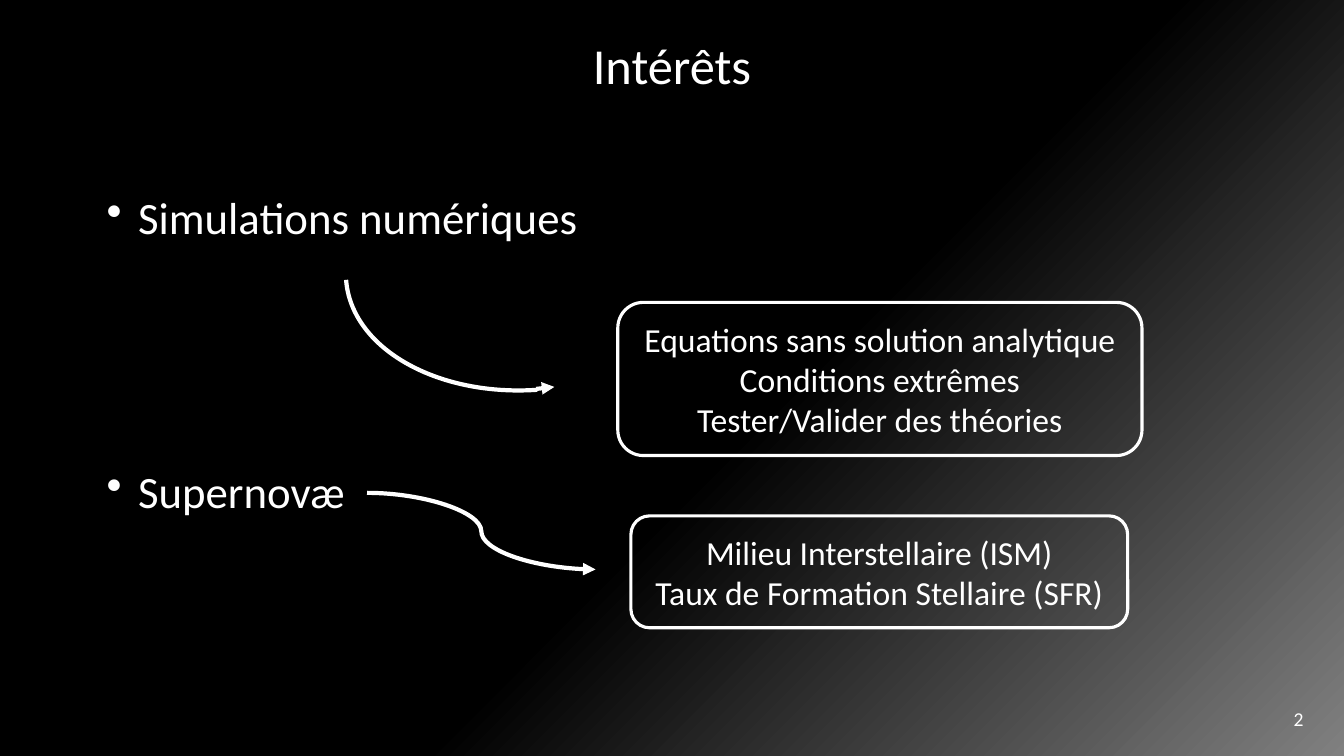
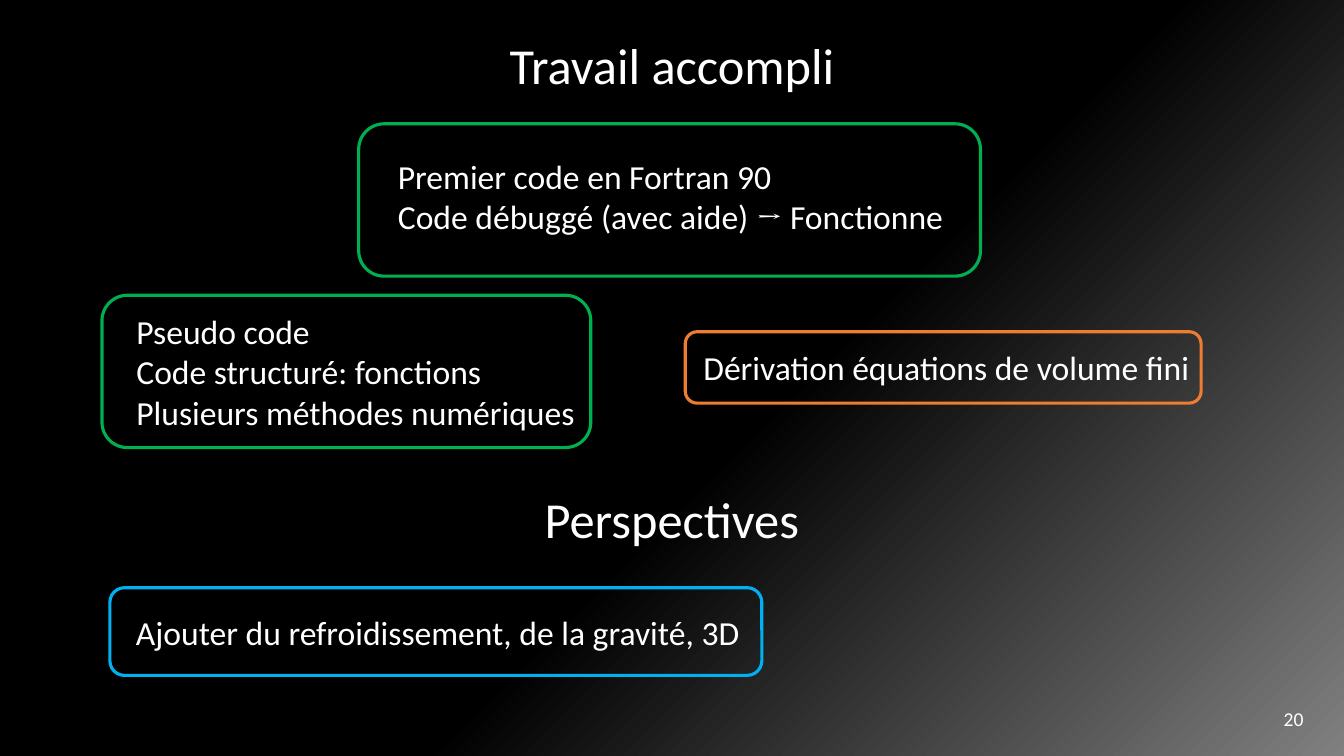
from lxml import etree
from pptx import Presentation
from pptx.dml.color import RGBColor
from pptx.enum import shapes, text
from pptx.oxml import ns
from pptx.util import Cm, Pt

COLORS = {
    "black": "000000",
    "grey": "808080",
    "white": "FFFFFF",
    "green": "00B050",
    "blue": "00B0F0",
    "orange": "ED7D31",
}
FONT = "Calibri"
ARROW_FONT = "Cambria"
WIDTH, HEIGHT = 33.87, 19.05
LEFT, CENTER, RIGHT = text.PP_ALIGN.LEFT, text.PP_ALIGN.CENTER, text.PP_ALIGN.RIGHT


def rgb(name):
    return RGBColor.from_string(COLORS[name])


def cms(*lengths):
    return [Cm(length) for length in lengths]


def write(frame, lines, size, align=LEFT, anchor=text.MSO_ANCHOR.TOP):
    frame.word_wrap = True
    frame.auto_size = text.MSO_AUTO_SIZE.NONE
    frame.vertical_anchor = anchor
    for index, line in enumerate(lines):
        paragraph = frame.add_paragraph() if index else frame.paragraphs[0]
        paragraph.alignment = align
        for piece in filter(None, line.partition("→")):
            run = paragraph.add_run()
            run.text = piece
            run.font.name = ARROW_FONT if piece == "→" else FONT
            run.font.size = Pt(size)
            run.font.color.rgb = rgb("white")


def style_background(master):
    fill = master.background.fill
    fill.gradient()
    fill.gradient_angle = 315
    for stop, (position, color) in zip(fill.gradient_stops, [(0.56, "black"), (1, "grey")]):
        stop.position = position
        stop.color.rgb = rgb(color)


def add_textbox(slide, place, line, size, align=LEFT, anchor=text.MSO_ANCHOR.TOP):
    frame = slide.shapes.add_textbox(*cms(*place)).text_frame
    write(frame, [line], size, align, anchor)
    return frame


def add_slide(deck, heading, number):
    slide = deck.slides.add_slide(deck.slide_layouts[5])
    title = slide.shapes.title
    title.left, title.top, title.width, title.height = cms(0, 0.74, WIDTH, 1.8)
    write(title.text_frame, [heading], 36, CENTER)
    add_textbox(slide, (25.48, 17.6, 7.62, 1.02), number, 14, RIGHT, text.MSO_ANCHOR.MIDDLE)
    return slide


def add_bullet(slide, top, topic):
    paragraph = add_textbox(slide, (2.44, top, 13.1, 1.63), topic, 32).paragraphs[0]
    properties = paragraph._p.get_or_add_pPr()
    properties.set("marL", str(Cm(0.79)))
    properties.set("indent", str(-Cm(0.79)))
    etree.SubElement(properties, ns.qn("a:buChar")).set("char", "•")


def add_outline(slide, preset, place, color, width):
    outline = slide.shapes.add_shape(preset, *cms(*place))
    outline.shadow.inherit = False
    outline.fill.background()
    outline.line.color.rgb = rgb(color)
    outline.line.width = Pt(width)
    return outline


def add_card(slide, place, lines, color="white", align=CENTER, inset=0.25):
    card = add_outline(slide, shapes.MSO_SHAPE.ROUNDED_RECTANGLE, place, color, 2.25)
    frame = card.text_frame
    frame.margin_left = Cm(inset)
    if align == LEFT:
        frame.margin_right = 0
    write(frame, lines, 24, align, text.MSO_ANCHOR.MIDDLE)
    return card


def add_arrow(slide, kind, start, end):
    arrow = slide.shapes.add_connector(kind, *cms(*start, *end))
    arrow.line.color.rgb = rgb("white")
    arrow.line.width = Pt(3)
    outline = arrow.line._get_or_add_ln()
    etree.SubElement(outline, ns.qn("a:tailEnd")).set("type", "triangle")
    etree.SubElement(arrow._element.spPr, ns.qn("a:effectLst"))


def build_interests(deck):
    slide = add_slide(deck, "Intérêts", "2")
    add_bullet(slide, 4.65, "Simulations numériques")
    add_bullet(slide, 11.56, "Supernovæ")
    add_card(slide, (15.57, 7.62, 13.21, 3.86), [
        "Equations sans solution analytique",
        "Conditions extrêmes",
        "Tester/Valider des théories",
    ])
    add_card(slide, (15.9, 13, 12.52, 2.82), [
        "Milieu Interstellaire (ISM)",
        "Taux de Formation Stellaire (SFR)",
    ])
    sweep = add_outline(slide, shapes.MSO_SHAPE.ARC, (8.71, 3.63, 9.22, 6.2), "white", 3)
    sweep.rotation = 176
    add_arrow(slide, shapes.MSO_CONNECTOR.STRAIGHT, (13.51, 9.8), (13.97, 9.75))
    add_arrow(slide, shapes.MSO_CONNECTOR.CURVE, (9.25, 12.42), (15.01, 14.35))


def build_progress(deck):
    slide = add_slide(deck, "Travail accompli", "20")
    add_textbox(slide, (0, 12.17, WIDTH, 1.8), "Perspectives", 36, CENTER)
    first_code = add_card(slide, (9.04, 3.12, 15.67, 3.84), [
        "Premier code en Fortran 90",
        "Code débuggé (avec aide) → Fonctionne",
    ], "green", LEFT, 0.8)
    first_code.text_frame.margin_bottom = Cm(0.33)
    add_card(slide, (2.57, 7.44, 12.32, 3.84), [
        "Pseudo code",
        "Code structuré: fonctions",
        "Plusieurs méthodes numériques",
    ], "green", LEFT, 0.68)
    add_card(slide, (17.27, 8.36, 13, 1.8),
             ["Dérivation équations de volume fini"], "orange", LEFT, 0.37)
    add_card(slide, (2.77, 14.81, 16.43, 2.21),
             ["Ajouter du refroidissement, de la gravité, 3D"], "blue", LEFT, 0.55)


def main():
    deck = Presentation()
    deck.slide_width, deck.slide_height = cms(WIDTH, HEIGHT)
    style_background(deck.slide_master)
    build_interests(deck)
    build_progress(deck)
    deck.save("out.pptx")


if __name__ == "__main__":
    main()
